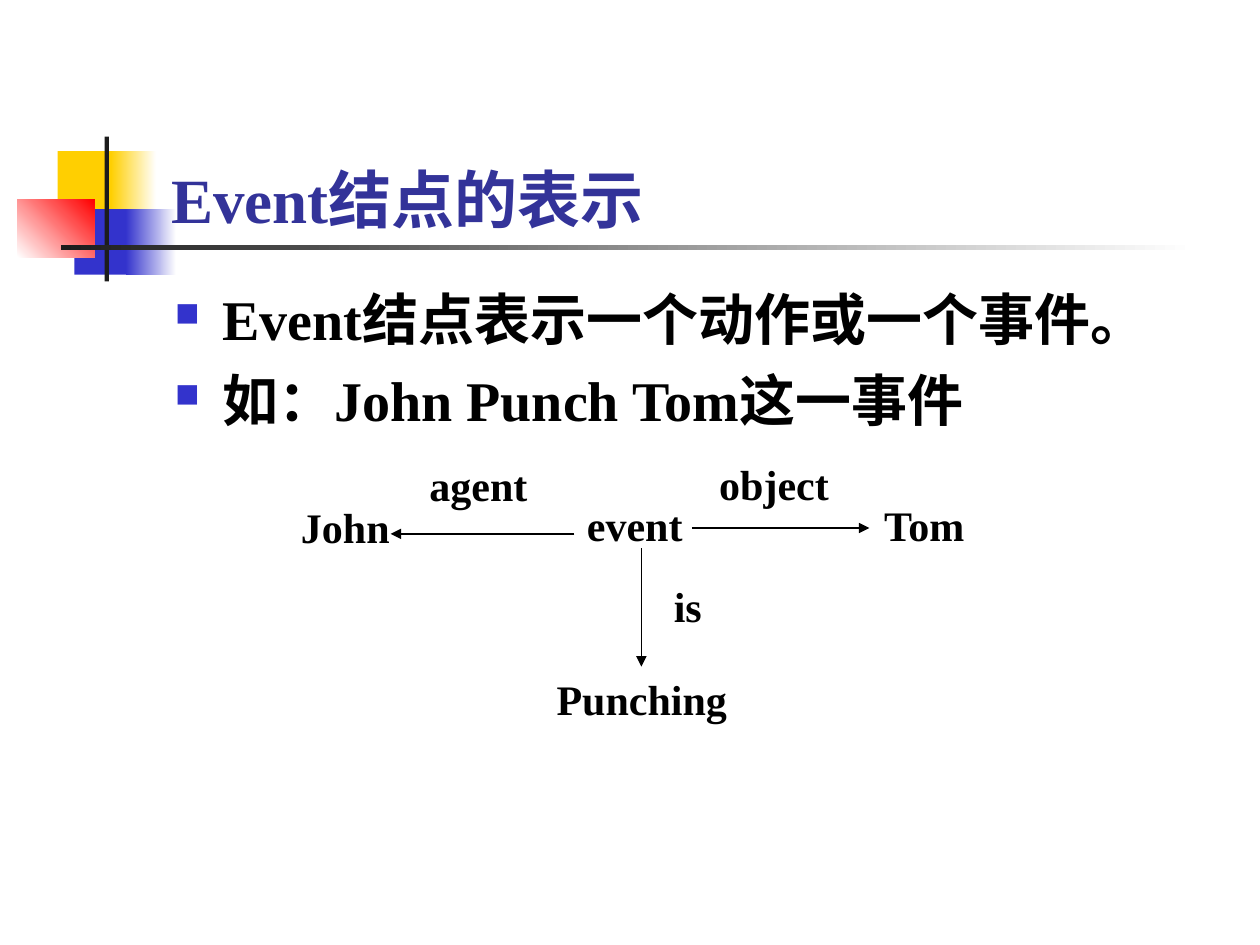
from lxml import etree
from pptx import Presentation
from pptx.dml import color
from pptx.enum import shapes, text
from pptx.oxml import ns
from pptx.util import Pt

COLOURS = {
    "yellow": "FFCF01",
    "blue": "3333CC",
    "red": "FF0000",
    "white": "FFFFFF",
    "charcoal": "1C1C1C",
    "title": "333399",
    "black": "000000",
}


def rgb(name):
    return color.RGBColor.from_string(COLOURS[name])


def set_all(target, values):
    for name, value in values.items():
        setattr(target, name, value)


def add_element(parent, tag, **attributes):
    return etree.SubElement(parent, ns.qn(tag), attributes)


class EventSlide:
    font = {"name": "Times New Roman", "bold": True}
    label_size = 24
    line_width = 0.75

    def __init__(self, deck):
        self.page = deck.slides.add_slide(deck.slide_layouts[6])

    def block(self, area, start, end=None, angle=0):
        shape = self.page.shapes.add_shape(
            shapes.MSO_SHAPE.RECTANGLE, *map(Pt, area))
        shape.shadow.inherit = False
        shape.line.fill.background()
        if end is None:
            shape.fill.solid()
            shape.fill.fore_color.rgb = rgb(start)
            return
        shape.fill.gradient()
        shape.fill.gradient_angle = angle
        for stop, name in zip(shape.fill.gradient_stops, (start, end)):
            stop.color.rgb = rgb(name)

    def words(self, area, lines, size, colour="black", bullet=False, **frame_format):
        box = self.page.shapes.add_textbox(*map(Pt, area))
        frame = box.text_frame
        set_all(frame, {"word_wrap": True, **frame_format})
        for index, line in enumerate(lines):
            para = frame.paragraphs[0] if index == 0 else frame.add_paragraph()
            if bullet:
                self.bullet(para)
            if index:
                para.space_before = Pt(8)
            span = para.add_run()
            span.text = line
            set_all(span.font, {**self.font, "size": Pt(size)})
            span.font.color.rgb = rgb(colour)

    def bullet(self, para):
        properties = para._p.get_or_add_pPr()
        properties.set("marL", str(Pt(27)))
        properties.set("indent", str(-Pt(27)))
        tint = add_element(properties, "a:buClr")
        add_element(tint, "a:srgbClr", val=COLOURS["blue"])
        add_element(properties, "a:buSzPct", val="60000")
        add_element(properties, "a:buChar", char="■")

    def label(self, wording, left, top, width):
        self.words((left, top, width, 36), [wording], self.label_size,
                   auto_size=text.MSO_AUTO_SIZE.SHAPE_TO_FIT_TEXT)

    def arrow(self, *ends):
        connector = self.page.shapes.add_connector(
            shapes.MSO_CONNECTOR.STRAIGHT, *map(Pt, ends))
        connector.line.width = Pt(self.line_width)
        connector.line.color.rgb = rgb("black")
        add_element(connector.line._get_or_add_ln(), "a:tailEnd", type="triangle")
        add_element(connector._element.spPr, "a:effectLst")


def main():
    deck = Presentation()
    set_all(deck, {"slide_width": Pt(720), "slide_height": Pt(540)})
    slide = EventSlide(deck)

    slide.block((33, 86.4, 34.5, 37.4), "yellow")
    slide.block((63.4, 86.4, 25.9, 37.4), "yellow", "white")
    slide.block((42.5, 119.5, 33.1, 37.4), "blue")
    slide.block((72, 119.5, 28.8, 37.4), "blue", "white")
    slide.block((10, 113.8, 44, 33.2), "white", "red", 45)
    slide.block((59.8, 78, 2.4, 82.8), "charcoal")
    slide.block((34.8, 140.2, 648, 2.4), "charcoal", "white")

    slide.words((90.7, 48.2, 613.4, 90), ["Event结点的表示"], 36, "title",
                vertical_anchor=text.MSO_ANCHOR.BOTTOM)
    slide.words((92.9, 159.1, 612, 324),
                ["Event结点表示一个动作或一个事件。", "如：John Punch Tom这一事件"],
                32, bullet=True)

    for label in (
        ("John", 164.9, 283, 67.7),
        ("event", 328.3, 282.2, 94.3),
        ("Tom", 498.2, 282.2, 94.3),
        ("Punching", 311, 381.6, 127.4),
        ("agent", 238.3, 259.2, 81.4),
        ("object", 403.9, 258.5, 81.4),
        ("is", 378, 328.3, 53.3),
    ):
        slide.label(*label)

    for ends in (
        (328.3, 305.1, 223.2, 305.1),
        (395.3, 301.7, 496.8, 301.7),
        (366.5, 313.2, 366.5, 380.9),
    ):
        slide.arrow(*ends)

    deck.save("out.pptx")


if __name__ == "__main__":
    main()
